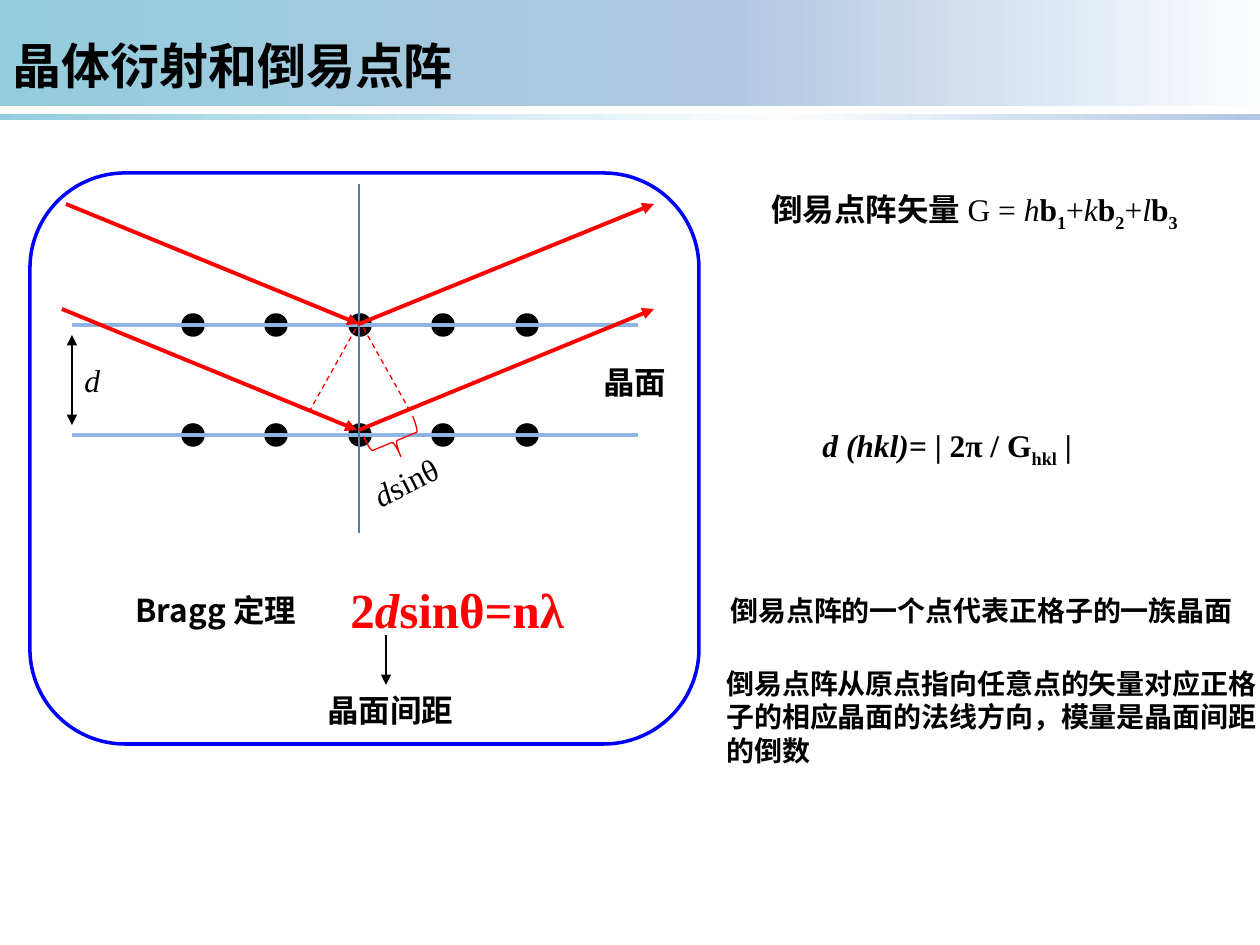
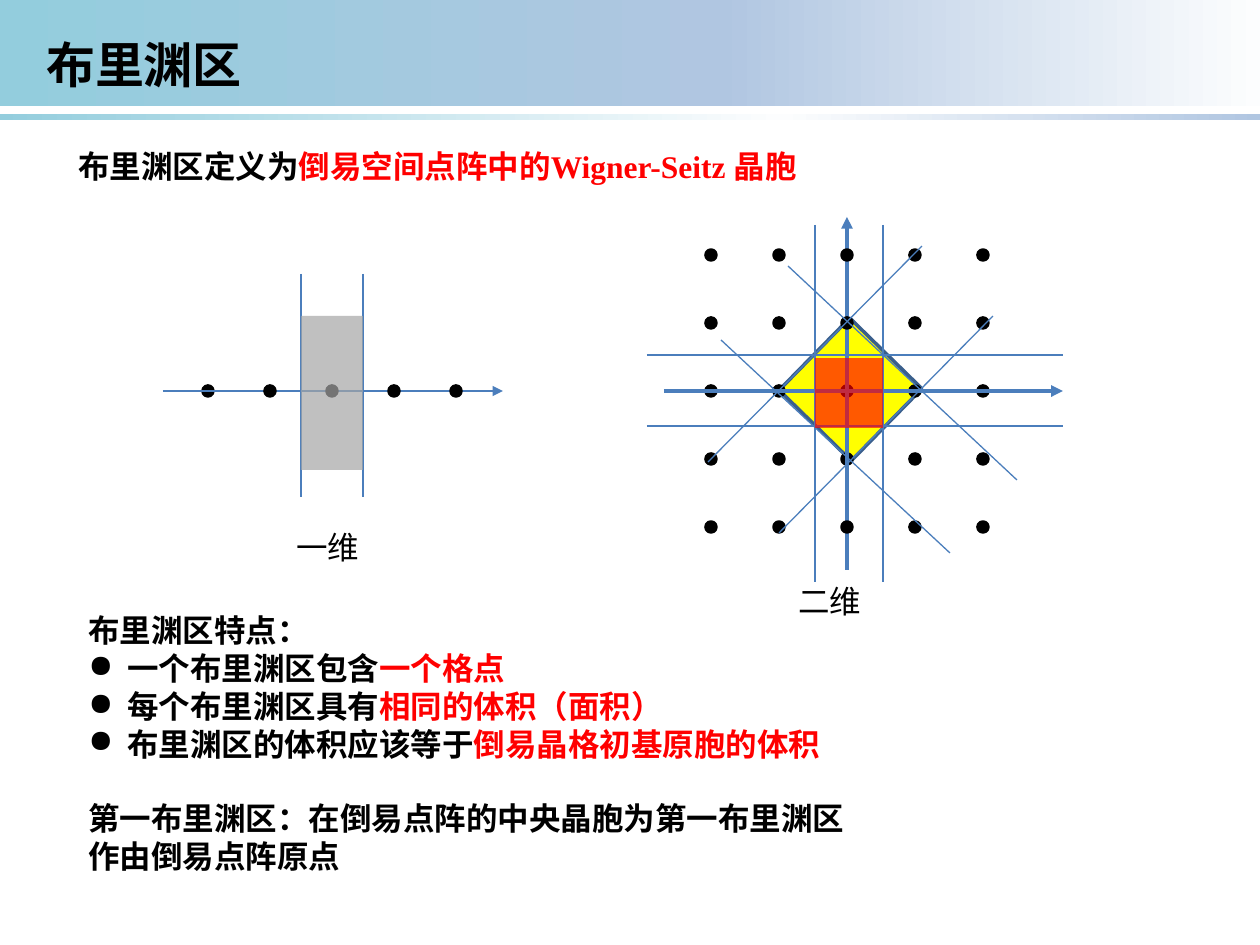
"""Builds two slides on crystal diffraction and Brillouin zones."""
from copy import deepcopy

from lxml import etree
from pptx import Presentation
from pptx import util as u
from pptx.dml import color
from pptx.enum import dml, shapes, text
from pptx.oxml.ns import qn

px = 914400 / 126
hue = color.RGBColor.from_string
kinds = shapes.MSO_SHAPE
left, mid = text.PP_ALIGN.LEFT, text.PP_ALIGN.CENTER
sans, serif = "Noto Sans CJK SC", "Times New Roman"
red, black, blue, sky = "FF0000", "000000", "4B7EBC", "8EB4E3"


def draw(page, kind, box, fill=None, alpha=100, edge=None, wide=2, turn=0, dash=False, ends=()):
    """Draws a shape, or a line from point to point when kind is None."""
    spots = [u.Emu(round(n * px)) for n in box]
    if kind is None:
        item = page.shapes.add_connector(shapes.MSO_CONNECTOR.STRAIGHT, *spots)
    else:
        item = page.shapes.add_shape(kind, *spots)
        item.shadow.inherit = False
        item.rotation = turn
        if fill:
            item.fill.solid()
            item.fill.fore_color.rgb = hue(fill)
            if alpha < 100:
                tone = item._element.spPr.find(".//" + qn("a:srgbClr"))
                etree.SubElement(tone, qn("a:alpha"), val=str(alpha * 1000))
        else:
            item.fill.background()
    if edge:
        item.line.color.rgb = hue(edge)
        item.line.width = u.Pt(wide)
        if dash:
            item.line.dash_style = dml.MSO_LINE.DASH
    else:
        item.line.fill.background()
    if kind is None:
        prop = item._element.spPr
        for end in ends:
            etree.SubElement(prop.find(qn("a:ln")), qn("a:" + end), type="triangle")
        etree.SubElement(prop, qn("a:effectLst"))
    return item


def write(item, box, rows, wrap=False, turn=0, align=left, **base):
    """Places a text item and fills it; each run changes the format so far."""
    item.left, item.top, item.width, item.height = [u.Emu(round(n * px)) for n in box]
    item.rotation = turn
    frame = item.text_frame
    frame.word_wrap = wrap
    frame.auto_size = text.MSO_AUTO_SIZE.SHAPE_TO_FIT_TEXT
    frame.vertical_anchor = text.MSO_ANCHOR.TOP
    now = {"size": 18, "bold": True, "italic": False, "name": sans, "hue": black, "base": 0} | base
    for n, row in enumerate(rows):
        para = frame.paragraphs[0] if n == 0 else frame.add_paragraph()
        para.alignment = align
        for words, more in row:
            now = now | more
            run = para.add_run()
            run.text = words
            run.font.color.rgb = hue(now["hue"])
            look = {key: now[key] for key in ("bold", "italic", "name")} | {"size": u.Pt(now["size"])}
            for key, val in look.items():
                setattr(run.font, key, val)
            prop = run._r.get_or_add_rPr()
            etree.SubElement(prop, qn("a:ea"), typeface=sans)
            if now["base"]:
                prop.set("baseline", str(now["base"] * 1000))
    return item


deck = Presentation()
deck.slide_width, deck.slide_height = u.Inches(10), u.Inches(7.5)
plain = deck.slide_layouts[5]
pages = [deck.slides.add_slide(plain) for n in range(2)]
bragg, zone = pages

bands = [
    ((-2, 114, 1262, 6), ((0, "93CDDD"), (0.62, "FCFDFE"), (1, "B0C6E1"))),
    ((0, -2, 1260, 108), ((0, "93CDDD"), (0.57, "B0C6E1"), (1, "FCFDFE"))),
]
for n, (box, stops) in enumerate(bands):
    band = draw(bragg, kinds.RECTANGLE, box)
    band.fill.gradient()
    band.fill.gradient_angle = 0
    ramp = band._element.spPr.find(".//" + qn("a:gsLst"))
    ramp.insert(1, deepcopy(ramp[0]))
    for stop, (spot, tone) in zip(band.fill.gradient_stops, stops):
        stop.position = spot
        stop.color.rgb = hue(tone)
    plain.shapes._spTree.insert(2 + n, band._element)

titles = [
    ("晶体衍射和倒易点阵", (0, 29, 1260, 72), True, left),
    ("布里渊区", (32, 28, 224, 72), False, mid),
]
for page, (words, box, wrap, align) in zip(pages, titles):
    write(page.shapes.title, box, [[(words, {})]], wrap, align=align, size=28)

for y in (315, 425):
    for i in range(5):
        draw(bragg, kinds.OVAL, (183 + 167 * i // 2, y, 20, 20), black, edge=black)
for y in (325, 435):
    draw(bragg, None, (72, y, 638, y), edge=sky, wide=2.25)
draw(bragg, None, (359, 184, 359, 533), edge=blue, wide=0.75)
rays = [(62, 309, 357, 430), (66, 204, 359, 324), (359, 324, 654, 204), (359, 430, 654, 309)]
for ray in rays:
    draw(bragg, None, ray, edge=red, wide=2.25, ends=["tailEnd"])
for foot in ((360, 321, 309, 412), (410, 411, 359, 320)):
    draw(bragg, None, foot, edge=red, wide=0.75, dash=True)
draw(bragg, kinds.RIGHT_BRACE, (378, 415, 33, 53), edge=red, wide=0.75, turn=67.6)
draw(bragg, None, (72, 335, 72, 425), edge=black, wide=0.75, ends=["headEnd", "tailEnd"])
draw(bragg, None, (386, 635, 386, 685), edge=black, wide=0.75, ends=["tailEnd"])
draw(bragg, kinds.ROUNDED_RECTANGLE, (30, 173, 669, 571), edge="0000FF")

slant, up = {"italic": True}, {"italic": False}
low, flat = {"base": -25}, {"base": 0}
thin = {"name": serif, "bold": False}
vector = [("倒易点阵矢量 ", {}), ("G = ", thin)]
for sign, index, n in (("", "h", "1"), ("+", "k", "2"), ("+", "l", "3")):
    if sign:
        vector.append((sign, flat | {"bold": False}))
    vector += [(index, slant), ("b", up | {"bold": True}), (n, low)]
space = [("d (hkl)= ", slant), ("| 2π / G", up), ("hkl", low), (" |", flat)]
law = [("2", {}), ("d", slant), ("sinθ=nλ", up)]
point = "倒易点阵的一个点代表正格子的一族晶面"
normal = "倒易点阵从原点指向任意点的矢量对应正格子的相应晶面的法线方向，模量是晶面间距的倒数"
notes = [
    ((591, 357, 147, 50), [("晶面", {})], {"wrap": True, "name": "Calibri"}),
    ((359, 456, 96, 50), [("d", slant), ("sinθ", up)], thin | {"turn": 333.4}),
    ((72, 355, 43, 50), [("d", slant)], thin),
    ((338, 573, 244, 72), law, {"name": serif, "size": 28, "hue": red}),
    ((123, 585, 194, 50), [("Bragg 定理", {})], {}),
    ((315, 685, 152, 50), [("晶面间距", {})], {}),
    ((759, 184, 462, 50), vector, {}),
    ((810, 420, 296, 50), space, {"name": serif}),
    ((718, 587, 534, 47), [(point, {})], {"size": 16}),
    ((714, 660, 557, 115), [(normal, {})], {"size": 16, "wrap": True}),
]
for box, row, form in notes:
    write(bragg.shapes.add_textbox(0, 0, 0, 0), box, [row], **form)

draw(zone, kinds.RECTANGLE, (800, 339, 101, 101), "FFFF00", edge="3A5F8C", turn=44.4)
for j in (2, 3, None, 0, 1, 4):
    if j is None:
        for axis in ((664, 391, 1063, 391), (847, 570, 847, 217)):
            draw(zone, None, axis, edge=blue, wide=2.25, ends=["tailEnd"])
        continue
    for i in range(5):
        draw(zone, kinds.OVAL, (706 + 68 * i, 250 + 68 * j, 10, 10), black, edge=black)
edges = [(x, 225, x, 582) for x in (815, 883)] + [(647, y, 1063, y) for y in (355, 426)]
edges += [(922, 246, 708, 462), (721, 340, 950, 553), (993, 316, 779, 533), (788, 266, 1017, 480)]
for edge in edges:
    draw(zone, None, edge, edge=blue, wide=0.75)
draw(zone, kinds.RECTANGLE, (815, 358, 68, 70), red, alpha=65)

for i in range(5):
    draw(zone, kinds.OVAL, (203 + 62 * i, 386, 10, 10), black, edge=black)
    if i == 0:
        draw(zone, None, (163, 391, 503, 391), edge=blue, wide=1.5, ends=["tailEnd"])
for x in (301, 363):
    draw(zone, None, (x, 274, x, 497), edge=blue, wide=0.75)
draw(zone, kinds.RECTANGLE, (301, 316, 62, 154), "A6A6A6", alpha=70)

warm, dark = {"hue": red}, {"hue": black}
intro = [("布里渊区定义为", {}), ("倒易空间点阵中的Wigner-Seitz 晶胞", warm)]
write(zone.shapes.add_textbox(0, 0, 0, 0), (66, 141, 755, 88), [intro], True, name=serif)
for words, x, y in (("一维", 284, 522), ("二维", 786, 576)):
    write(zone.shapes.add_textbox(0, 0, 0, 0), (x, y, 89, 50), [[(words, {})]], **thin)
traits = [
    ("一个布里渊区包含", "一个格点"),
    ("每个布里渊区具有", "相同的体积（面积）"),
    ("布里渊区的体积应该等于", "倒易晶格初基原胞的体积"),
]
rows = [[("布里渊区特点：", {})]]
rows += [[(lead, dark), (key, warm)] for lead, key in traits]
rows += [[("第一布里渊区：在倒易点阵的中央晶胞为第一布里渊区", dark)], [("作由倒易点阵原点", {})]]
body = write(zone.shapes.add_textbox(0, 0, 0, 0), (76, 605, 789, 280), rows)
paras = body.text_frame.paragraphs
hang = round(39 * px)
for para in paras[1:4]:
    prop = para._p.get_or_add_pPr()
    prop.set("marL", str(hang))
    prop.set("indent", str(-hang))
    etree.SubElement(prop, qn("a:buChar"), char="●")
paras[4].space_before = u.Pt(21)

deck.save("out.pptx")
